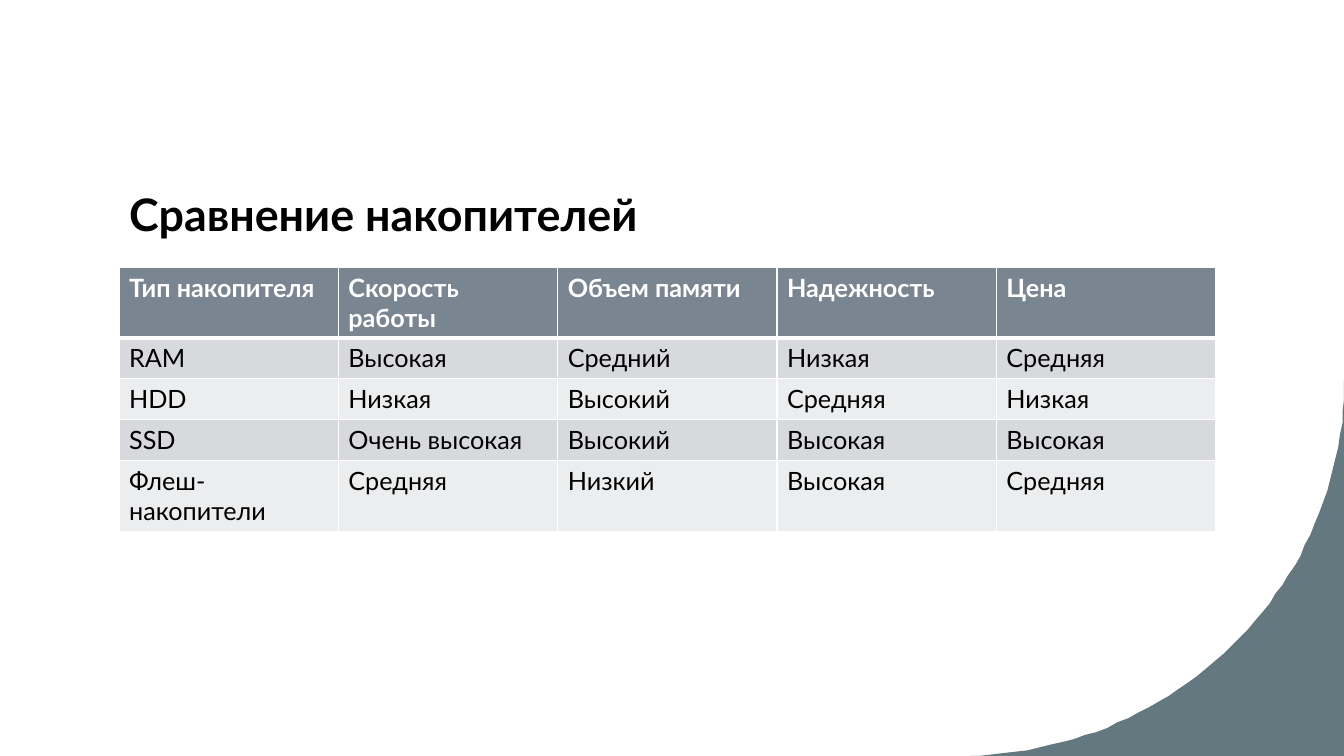
import dataclasses
import typing

import lxml.etree
import pptx
import pptx.dml.color
import pptx.enum.text
import pptx.oxml.ns
import pptx.util

Pt = pptx.util.Pt
Anchor = pptx.enum.text.MSO_ANCHOR
Point = tuple[float, float]


@dataclasses.dataclass(frozen=True)
class Theme:
    font: str = "Lato"
    title_size: float = 32
    table_size: float = 18
    ink: str = "000000"
    paper: str = "FFFFFF"
    header: str = "7A8592"
    bands: tuple[str, str] = ("D7D9DC", "ECEDEE")
    corner: str = "63787F"
    thin_line: float = 0.96
    thick_line: float = 3


@dataclasses.dataclass(frozen=True)
class Drive:
    kind: str
    speed: str
    capacity: str
    reliability: str
    price: str


THEME = Theme()
SLIDE_WIDTH, SLIDE_HEIGHT = 960, 540
LEFT, CONTENT_WIDTH = 85, 783.4
TITLE_TOP, TITLE_HEIGHT = 56.9, 118.8
TABLE_TOP, ROW_HEIGHT = 191, 29.2
CURVE_STEPS = 48
CORNER_CURVE: tuple[Point, Point, Point, Point] = (
    (699, 539.6), (840, 532.8), (952.6, 422.6), (960, 285.1))

HEADER = Drive("Тип накопителя", "Скорость работы", "Объем памяти", "Надежность", "Цена")
DRIVES = [
    Drive("RAM", "Высокая", "Средний", "Низкая", "Средняя"),
    Drive("HDD", "Низкая", "Высокий", "Средняя", "Низкая"),
    Drive("SSD", "Очень высокая", "Высокий", "Высокая", "Высокая"),
    Drive("Флеш-накопители", "Средняя", "Низкий", "Высокая", "Средняя"),
]
CENTERED_CELLS = {(3, 1), (3, 3)}


def color(value: str) -> pptx.dml.color.RGBColor:
    return pptx.dml.color.RGBColor.from_string(value)


def write(frame: typing.Any, text: str, *, size: float, ink: str, bold: bool = False,
          spacing: float = 1.0) -> None:
    para = frame.paragraphs[0]
    para.alignment = pptx.enum.text.PP_ALIGN.LEFT
    para.line_spacing = spacing
    span = para.add_run()
    span.text = text
    span.font.name = THEME.font
    span.font.size = Pt(size)
    span.font.bold = bold
    span.font.color.rgb = color(ink)


def curve_point(curve: tuple[Point, Point, Point, Point], t: float) -> Point:
    weights = ((1 - t) ** 3, 3 * t * (1 - t) ** 2, 3 * t ** 2 * (1 - t), t ** 3)
    x, y = (sum(w * p[axis] for w, p in zip(weights, curve)) for axis in (0, 1))
    return x, y


def add_corner(page: typing.Any) -> None:
    arc = [curve_point(CORNER_CURVE, step / CURVE_STEPS) for step in range(CURVE_STEPS + 1)]
    outline = [(SLIDE_WIDTH, SLIDE_HEIGHT), (693.4, SLIDE_HEIGHT), *arc]
    builder = page.shapes.build_freeform(SLIDE_WIDTH, 272.2, scale=Pt(1))
    builder.add_line_segments(outline, close=True)
    corner = builder.convert_to_shape()
    corner.shadow.inherit = False
    corner.fill.solid()
    corner.fill.fore_color.rgb = color(THEME.corner)
    corner.line.fill.background()


def add_title(page: typing.Any, text: str) -> None:
    title = page.shapes.title
    title.left, title.top = Pt(LEFT), Pt(TITLE_TOP)
    title.width, title.height = Pt(CONTENT_WIDTH), Pt(TITLE_HEIGHT)
    frame = title.text_frame
    frame.word_wrap = True
    frame.auto_size = pptx.enum.text.MSO_AUTO_SIZE.NONE
    frame.vertical_anchor = Anchor.BOTTOM
    write(frame, text, size=THEME.title_size, ink=THEME.ink, bold=True, spacing=1.1)


def set_borders(cell: typing.Any, widths: dict[str, float]) -> None:
    properties = cell._tc.get_or_add_tcPr()
    qn = pptx.oxml.ns.qn
    for side, width in widths.items():
        line = lxml.etree.SubElement(properties, qn(f"a:ln{side}"), w=str(int(Pt(width))))
        fill = lxml.etree.SubElement(line, qn("a:solidFill"))
        lxml.etree.SubElement(fill, qn("a:srgbClr"), val=THEME.paper)


def add_table(page: typing.Any, rows: list[Drive]) -> None:
    columns = len(dataclasses.fields(Drive))
    table = page.shapes.add_table(
        len(rows), columns, Pt(LEFT), Pt(TABLE_TOP),
        Pt(CONTENT_WIDTH), Pt(ROW_HEIGHT * len(rows))).table
    for column in table.columns:
        column.width = Pt(CONTENT_WIDTH / columns)
    for row, drive in enumerate(rows):
        table.rows[row].height = Pt(ROW_HEIGHT)
        is_header = row == 0
        for column, text in enumerate(dataclasses.astuple(drive)):
            cell = table.cell(row, column)
            set_borders(cell, {
                "L": THEME.thin_line,
                "R": THEME.thin_line,
                "T": THEME.thick_line if row == 1 else THEME.thin_line,
                "B": THEME.thick_line if is_header else THEME.thin_line,
            })
            cell.fill.solid()
            cell.fill.fore_color.rgb = color(
                THEME.header if is_header else THEME.bands[(row - 1) % 2])
            cell.vertical_anchor = Anchor.MIDDLE if (row, column) in CENTERED_CELLS else Anchor.TOP
            write(cell.text_frame, text, size=THEME.table_size,
                  ink=THEME.paper if is_header else THEME.ink, bold=is_header)


def main() -> None:
    deck = pptx.Presentation()
    deck.slide_width, deck.slide_height = Pt(SLIDE_WIDTH), Pt(SLIDE_HEIGHT)
    page = deck.slides.add_slide(deck.slide_layouts.get_by_name("Title Only"))
    page.background.fill.solid()
    page.background.fill.fore_color.rgb = color(THEME.paper)
    add_corner(page)
    add_title(page, "Сравнение накопителей")
    add_table(page, [HEADER, *DRIVES])
    deck.save("out.pptx")


if __name__ == "__main__":
    main()
